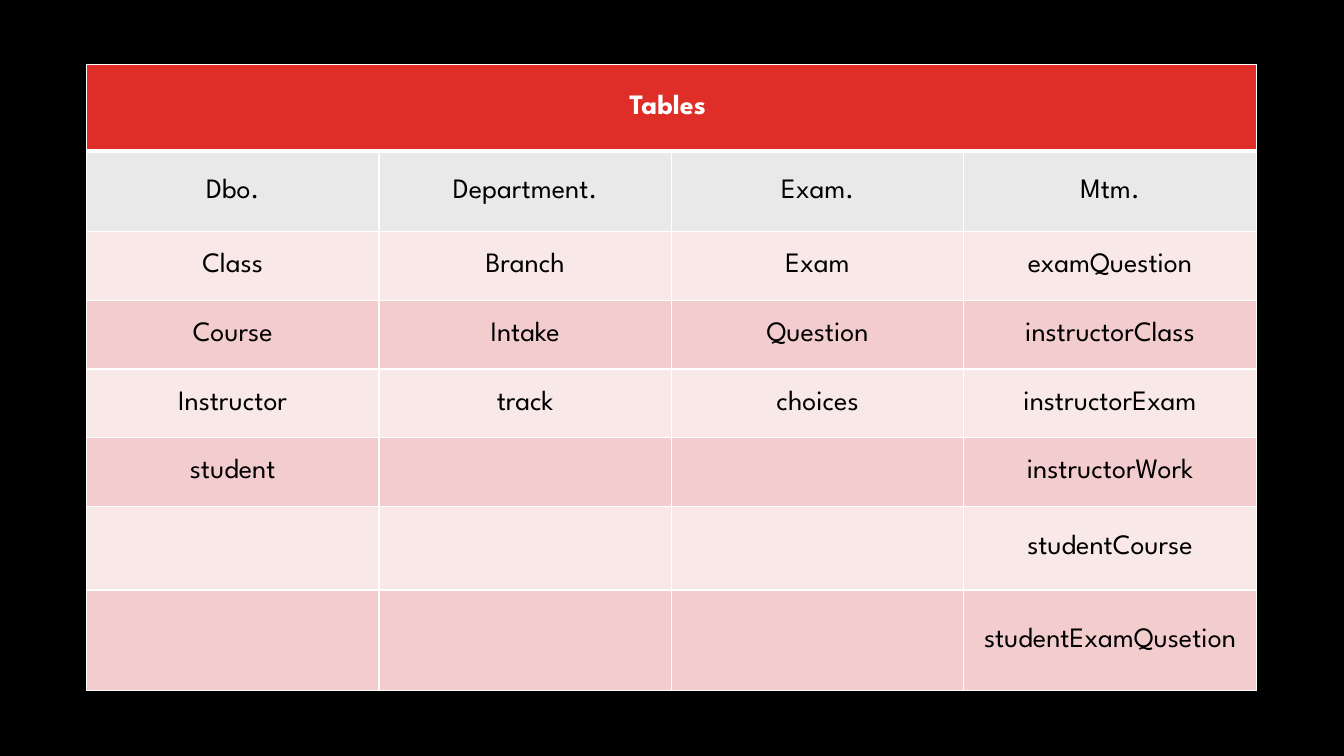
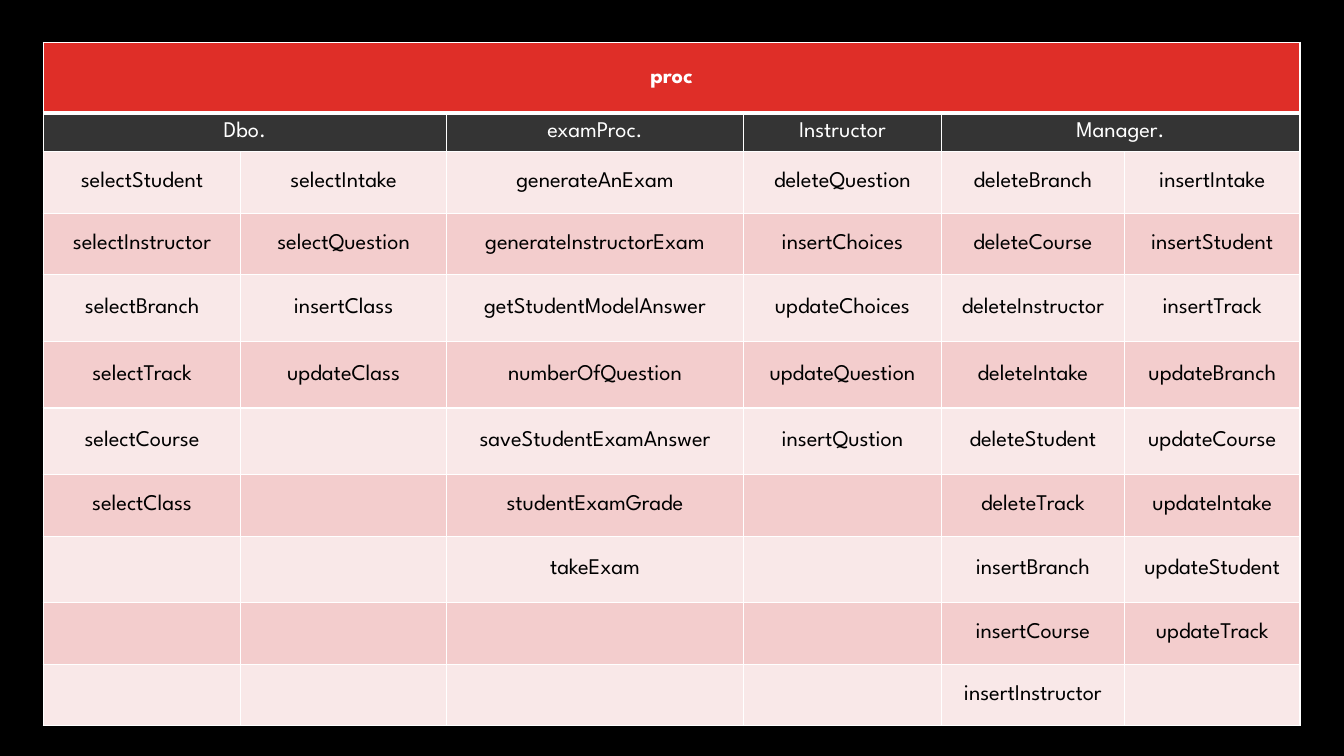
from dataclasses import dataclass

from lxml import etree
from pptx import Presentation
from pptx import util as u
from pptx.dml.color import RGBColor
from pptx.enum import text
from pptx.oxml import ns

FONT = "League Spartan"
COLORS = {
    "background": "000000",
    "title": "DF2E28",
    "grey": "E9E9E9",
    "charcoal": "343434",
    "light": "F9E8E8",
    "dark": "F3CDCD",
    "white": "FFFFFF",
    "black": "000000",
}
THIN, THICK = 1, 3


@dataclass(frozen=True)
class Group:
    """A heading over one or more columns of names."""
    heading: str
    columns: list[list[str]]


@dataclass(frozen=True)
class Grid:
    """A titled table; lengths in centimetres."""
    title: str
    left: float
    top: float
    widths: list[float]
    heights: list[float]
    font_size: int
    heading_fill: str
    heading_color: str
    groups: list[Group]


GRIDS = [
    Grid(
        "Tables ", 2.18, 1.63, [7.37] * 4,
        [2.18, 2.03] + [1.73] * 4 + [2.11, 2.54],
        20, "grey", "black",
        [
            Group("Dbo.", [["Class", "Course", "Instructor", "student"]]),
            Group("Department.", [["Branch", "Intake", "track"]]),
            Group("Exam.", [["Exam", "Question", "choices"]]),
            Group("Mtm.", [["examQuestion", "instructorClass", "instructorExam",
                            "instructorWork", "studentCourse", "studentExamQusetion"]]),
        ],
    ),
    Grid(
        "proc", 1.09, 1.07, [4.98, 5.18, 7.49, 4.98, 4.62, 4.42],
        [1.78, 0.97, 1.55, 1.55, 1.68, 1.68, 1.68, 1.55, 1.68, 1.55, 1.55],
        16, "charcoal", "white",
        [
            Group("Dbo.", [
                ["selectStudent", "selectInstructor", "selectBranch",
                 "selectTrack", "selectCourse", "selectClass"],
                ["selectIntake", "selectQuestion", "insertClass", "updateClass"],
            ]),
            Group("examProc.", [
                ["generateAnExam", "generateInstructorExam", "getStudentModelAnswer",
                 "numberOfQuestion", "saveStudentExamAnswer", "studentExamGrade",
                 "takeExam"],
            ]),
            Group("Instructor", [
                ["deleteQuestion", "insertChoices", "updateChoices",
                 "updateQuestion", "insertQustion"],
            ]),
            Group("Manager.", [
                ["deleteBranch", "deleteCourse", "deleteInstructor", "deleteIntake",
                 "deleteStudent", "deleteTrack", "insertBranch", "insertCourse",
                 "insertInstructor"],
                ["insertIntake", "insertStudent", "insertTrack", "updateBranch",
                 "updateCourse", "updateIntake", "updateStudent", "updateTrack"],
            ]),
        ],
    ),
]


def rgb(name: str) -> RGBColor:
    return RGBColor.from_string(COLORS[name])


def set_borders(cell, top: int, bottom: int) -> None:
    """Draw white borders; widths in points."""
    properties = cell._tc.get_or_add_tcPr()
    widths = {"a:lnL": THIN, "a:lnR": THIN, "a:lnT": top, "a:lnB": bottom}
    for position, (tag, width) in enumerate(widths.items()):
        line = etree.Element(ns.qn(tag), w=str(u.Pt(width)))
        fill = etree.SubElement(line, ns.qn("a:solidFill"))
        etree.SubElement(fill, ns.qn("a:srgbClr"), val=COLORS["white"])
        properties.insert(position, line)


def write_cell(cell, words: str, size: int, color: str, bold: bool = False) -> None:
    paragraph = cell.text_frame.paragraphs[0]
    if words:
        paragraph.add_run().text = words
    paragraph.alignment = text.PP_ALIGN.CENTER
    font = paragraph.font
    font.name, font.size, font.bold = FONT, u.Pt(size), bold
    font.color.rgb = rgb(color)


def add_grid(slide, grid: Grid) -> None:
    row_count, column_count = len(grid.heights), len(grid.widths)
    table = slide.shapes.add_table(
        row_count, column_count, u.Cm(grid.left), u.Cm(grid.top),
        u.Cm(sum(grid.widths)), u.Cm(sum(grid.heights))).table
    for column, width in zip(table.columns, grid.widths):
        column.width = u.Cm(width)
    for row, height in zip(table.rows, grid.heights):
        row.height = u.Cm(height)

    # Fills and borders, with a thick rule under the title row
    fills = ["title", grid.heading_fill]
    fills += ["dark" if row % 2 else "light" for row in range(2, row_count)]
    for row, fill in enumerate(fills):
        for column in range(column_count):
            cell = table.cell(row, column)
            cell.fill.solid()
            cell.fill.fore_color.rgb = rgb(fill)
            cell.vertical_anchor = text.MSO_ANCHOR.MIDDLE
            set_borders(cell, THICK if row == 1 else THIN, THICK if row == 0 else THIN)

    # Title across all columns
    table.cell(0, 0).merge(table.cell(0, column_count - 1))
    write_cell(table.cell(0, 0), grid.title, grid.font_size, "white", bold=True)

    # Headings and the names under them
    first = 0
    for group in grid.groups:
        last = first + len(group.columns) - 1
        heading = table.cell(1, first)
        if last > first:
            heading.merge(table.cell(1, last))
        write_cell(heading, group.heading, grid.font_size, grid.heading_color)
        for column, names in enumerate(group.columns, first):
            for row in range(2, row_count):
                name = names[row - 2] if row - 2 < len(names) else ""
                write_cell(table.cell(row, column), name, grid.font_size, "black")
        first = last + 1


def main() -> None:
    presentation = Presentation()
    presentation.slide_width, presentation.slide_height = u.Cm(33.87), u.Cm(19.05)
    background = presentation.slide_master.background.fill
    background.solid()
    background.fore_color.rgb = rgb("background")
    blank_layout = presentation.slide_layouts[6]
    for grid in GRIDS:
        add_grid(presentation.slides.add_slide(blank_layout), grid)
    presentation.save("out.pptx")


if __name__ == "__main__":
    main()
